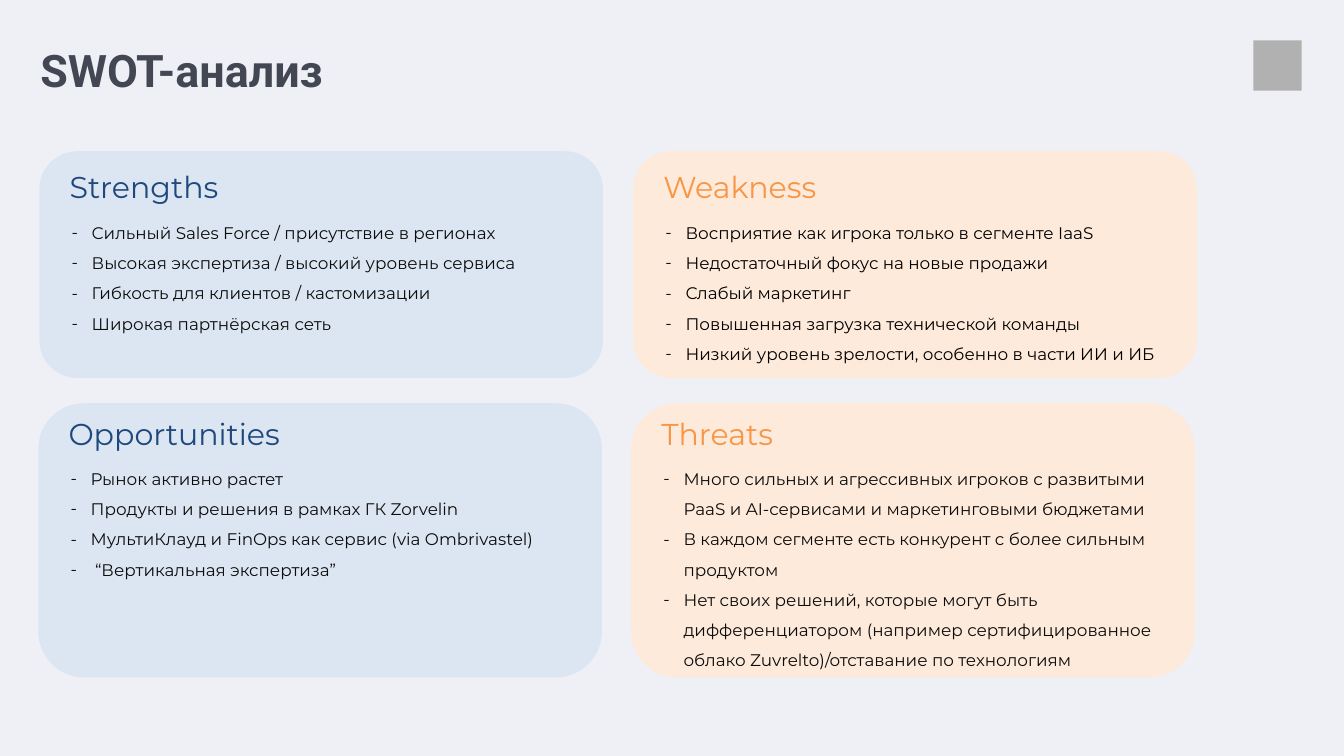
import pptx
import pptx.util
import pptx.dml.color
import pptx.enum.shapes
import pptx.enum.text
import pptx.oxml.ns
import lxml.etree

Inches = pptx.util.Inches
Points = pptx.util.Pt
RGBColor = pptx.dml.color.RGBColor
ShapeType = pptx.enum.shapes.MSO_SHAPE

PAGE_GRAY = RGBColor(0xEF, 0xF0, 0xF6)
LOGO_GRAY = RGBColor(0xB1, 0xB1, 0xB1)
TITLE_GRAY = RGBColor(0x43, 0x47, 0x54)
PALE_BLUE = RGBColor(0xDC, 0xE6, 0xF2)
NAVY = RGBColor(0x1F, 0x49, 0x7D)
PALE_ORANGE = RGBColor(0xFD, 0xEA, 0xDA)
ORANGE = RGBColor(0xF7, 0x96, 0x46)
INK = RGBColor(0x0C, 0x0C, 0x0C)
BLACK = RGBColor(0, 0, 0)

CARD_WIDTH = 5.59

# Left, top, height, fill, heading colour, heading, item colour, items
CARDS = [
    (0.39, 1.5, 2.25, PALE_BLUE, NAVY, "Strengths", INK, [
        "Сильный Sales Force / присутствие в регионах",
        "Высокая экспертиза / высокий уровень сервиса",
        "Гибкость для клиентов / кастомизации",
        "Широкая партнёрская сеть",
    ]),
    (0.38, 4, 2.72, PALE_BLUE, NAVY, "Opportunities", INK, [
        "Рынок активно растет",
        "Продукты и решения в рамках ГК Zorvelin",
        "МультиКлауд и FinOps как сервис (via Ombrivastel)",
        " “Вертикальная экспертиза”",
    ]),
    (6.28, 1.5, 2.25, PALE_ORANGE, ORANGE, "Weakness", BLACK, [
        "Восприятие как игрока только в сегменте IaaS",
        "Недостаточный фокус на новые продажи",
        "Слабый маркетинг",
        "Повышенная загрузка технической команды",
        "Низкий уровень зрелости, особенно в части ИИ и ИБ",
    ]),
    (6.26, 4, 2.72, PALE_ORANGE, ORANGE, "Threats", INK, [
        "Много сильных и агрессивных игроков с развитыми PaaS и AI-сервисами "
        "и маркетинговыми бюджетами",
        "В каждом сегменте есть конкурент с более сильным продуктом",
        "Нет своих решений, которые могут быть дифференциатором (например "
        "сертифицированное облако Zuvrelto)/отставание по технологиям",
    ]),
]


def write_text(paragraph, text, *, size, color, font="Montserrat", bold=False):
    span = paragraph.add_run()
    span.text = text
    span.font.name = font
    span.font.size = Points(size)
    span.font.bold = bold
    span.font.color.rgb = color


class SlideBuilder:
    def __init__(self, page):
        self.page = page
        page.background.fill.solid()
        page.background.fill.fore_color.rgb = PAGE_GRAY

    def shape(self, kind, left, top, width, height, fill):
        shape = self.page.shapes.add_shape(
            kind, Inches(left), Inches(top), Inches(width), Inches(height))
        shape.shadow.inherit = False
        shape.fill.solid()
        shape.fill.fore_color.rgb = fill
        shape.line.fill.background()
        return shape

    def text_box(self, left, top, width, height, texts, *,
                 inset=0.05, indent=0, dash=False, spacing=None, **style):
        box = self.page.shapes.add_textbox(
            Inches(left), Inches(top), Inches(width), Inches(height))
        frame = box.text_frame
        frame.word_wrap = True
        frame.vertical_anchor = pptx.enum.text.MSO_ANCHOR.TOP
        frame.margin_left = frame.margin_right = Inches(inset)
        frame.margin_top = frame.margin_bottom = Inches(inset)
        for index, text in enumerate(texts):
            para = frame.add_paragraph() if index else frame.paragraphs[0]
            properties = para._p.get_or_add_pPr()
            properties.set("marL", str(Inches(indent)))
            if dash:
                self.add_dash(properties)
            if spacing:
                para.line_spacing = spacing
            write_text(para, text, **style)

    def add_dash(self, properties):
        qualified = pptx.oxml.ns.qn
        properties.set("indent", str(Inches(-0.2)))
        color = lxml.etree.SubElement(properties, qualified("a:buClr"))
        lxml.etree.SubElement(color, qualified("a:srgbClr"), val=str(INK))
        lxml.etree.SubElement(properties, qualified("a:buFont"), typeface="Montserrat")
        lxml.etree.SubElement(properties, qualified("a:buChar"), char="-")

    def card(self, left, top, height, fill, accent, heading, ink, items):
        panel = self.shape(ShapeType.ROUNDED_RECTANGLE, left, top, CARD_WIDTH, height, fill)
        panel.adjustments[0] = 0.167
        # The lower cards carry their text slightly closer to the top edge
        heading_top, list_top = (1.62, 2.06) if top < 3 else (4.07, 4.5)
        self.text_box(left, heading_top, CARD_WIDTH, 0.46, [heading],
                      indent=0.25, size=21.5, color=accent)
        self.text_box(left + 0.22, list_top, 5.1, top + height - list_top, items,
                      indent=0.25, dash=True, spacing=1.5, size=12, color=ink)


def main():
    deck = pptx.Presentation()
    deck.slide_width = Inches(13.33)
    deck.slide_height = Inches(7.5)
    builder = SlideBuilder(deck.slides.add_slide(deck.slide_layouts[6]))

    # Header
    builder.shape(ShapeType.RECTANGLE, 12.43, 0.4, 0.48, 0.5, LOGO_GRAY)
    builder.text_box(0.4, 0.42, 5.63, 0.53, ["SWOT-анализ"], inset=0,
                     size=32, color=TITLE_GRAY, font="Roboto", bold=True)

    # Four quadrants
    for card in CARDS:
        builder.card(*card)

    deck.save("out.pptx")


if __name__ == "__main__":
    main()
